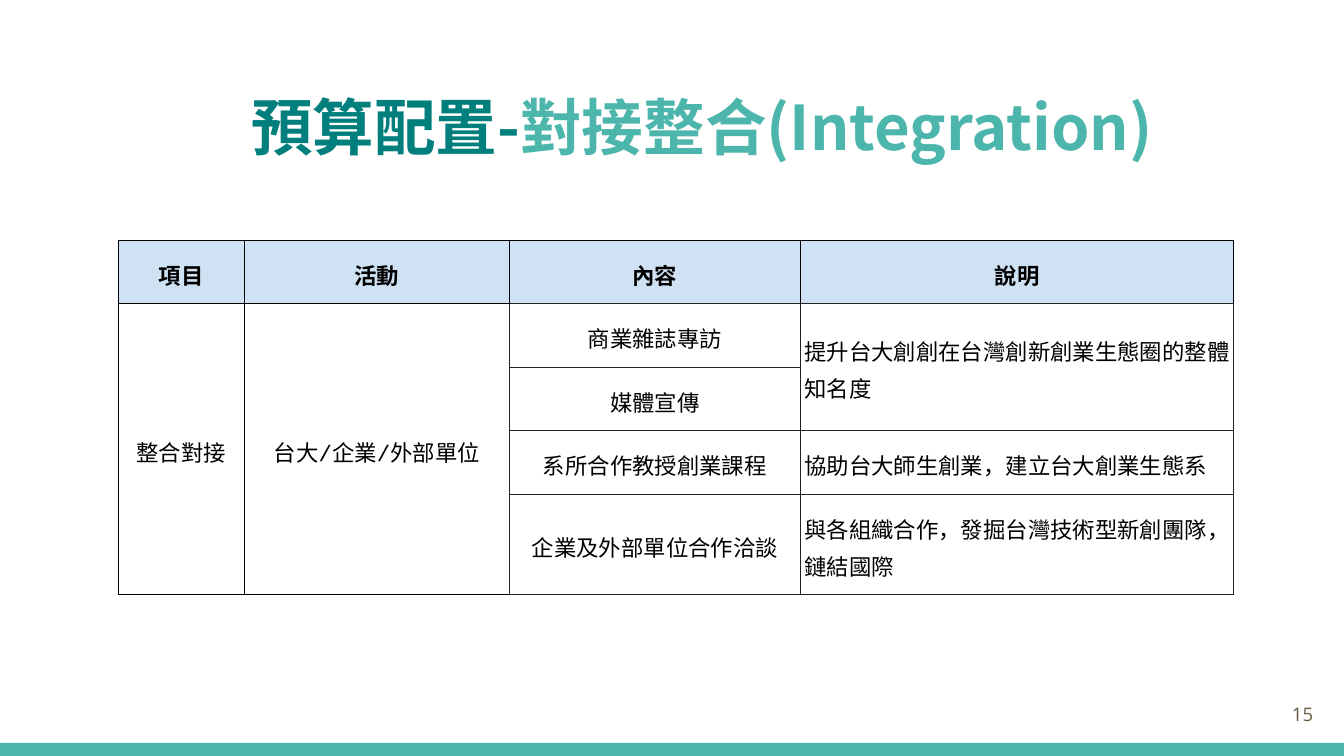
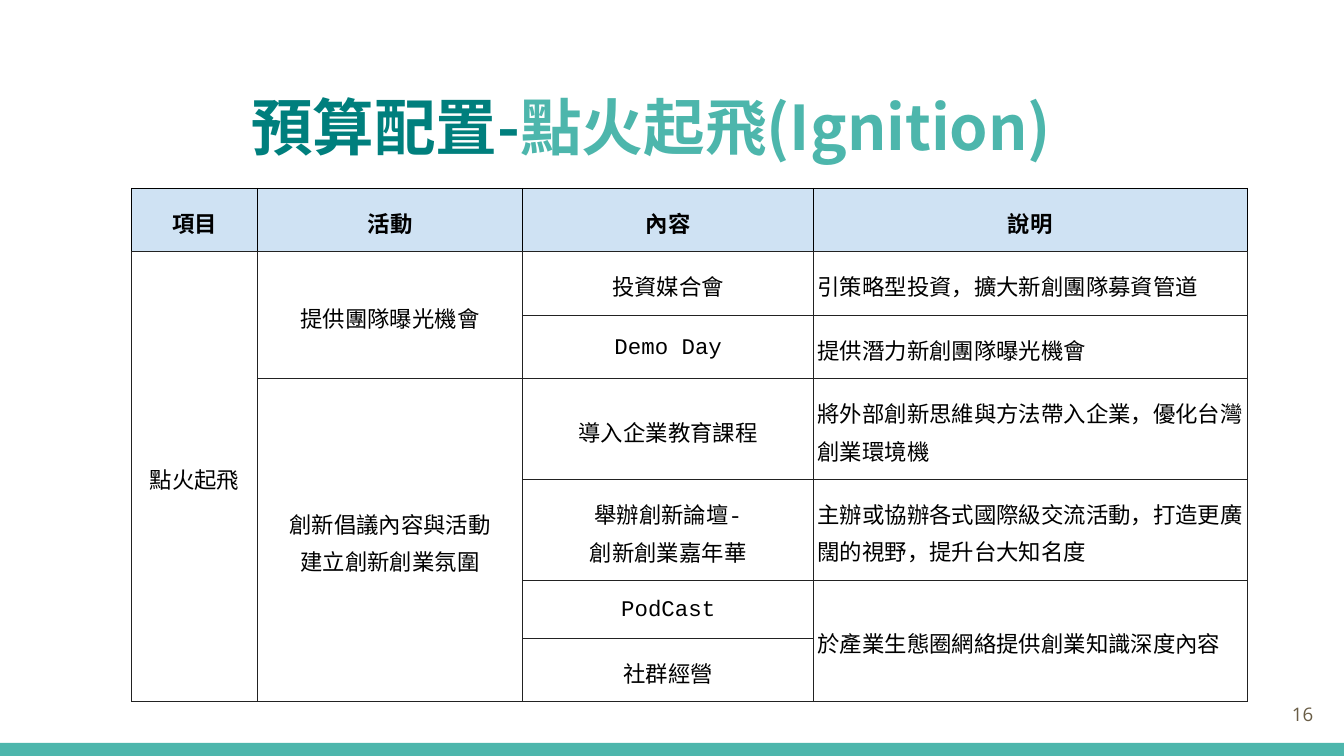
from lxml.etree import SubElement
from pptx import Presentation
from pptx.dml.color import RGBColor
from pptx.enum.shapes import MSO_SHAPE
from pptx.enum.text import MSO_ANCHOR, PP_ALIGN
from pptx.oxml.ns import qn
from pptx.util import Pt

DARK_TEAL, TEAL = "007F7D", "4DB6AC"
HEADER_BLUE, BLACK, CHARCOAL, BROWN = "CFE2F3", "000000", "222222", "695D46"
TITLE_FONT, CELL_FONT, NUMBER_FONT = "Noto Sans CJK SC", "Courier New", "Open Sans"
COLUMN_WIDTHS = (67.5, 142, 156, 232)
HEADINGS = ("項目", "活動", "內容", "說明")
ONE_LINE, TWO_LINES, LOW = 34, 54, 30


def color(value):
    return RGBColor.from_string(value)


class BudgetDeck:
    """Holds the shared style and the slide being built."""

    def __init__(self):
        self.presentation = Presentation()
        self.presentation.slide_width = Pt(720)
        self.presentation.slide_height = Pt(405)
        self.slide = None

    def add_slide(self, topic, number):
        self.slide = self.presentation.slides.add_slide(self.presentation.slide_layouts[6])
        self.add_band()
        self.add_text(127.4, 39.6, 567.4, 55.4, 33, TITLE_FONT,
                      [("預算配置-", DARK_TEAL), (topic, TEAL)], bold=True)
        self.add_text(667.4, 367.2, 43.2, 31, 10, NUMBER_FONT,
                      [(str(number), BROWN)], PP_ALIGN.RIGHT)

    def add_band(self):
        band = self.slide.shapes.add_shape(
            MSO_SHAPE.RECTANGLE, Pt(-2), Pt(398), Pt(724), Pt(8))
        band.shadow.inherit = False
        band.fill.solid()
        band.fill.fore_color.rgb = color(TEAL)
        band.line.fill.background()

    def style_font(self, font, name, size, font_color, bold=False):
        font.name, font.size, font.bold = name, Pt(size), bold
        font.color.rgb = color(font_color)

    def add_text(self, left, top, width, height, size, font_name, parts,
                 alignment=PP_ALIGN.LEFT, bold=False):
        box = self.slide.shapes.add_textbox(Pt(left), Pt(top), Pt(width), Pt(height))
        frame = box.text_frame
        frame.word_wrap = True
        frame.vertical_anchor = MSO_ANCHOR.MIDDLE
        frame.margin_left = frame.margin_right = Pt(7.2)
        frame.margin_top = frame.margin_bottom = Pt(7.2)
        paragraph = frame.paragraphs[0]
        paragraph.alignment = alignment
        for text, text_color in parts:
            run = paragraph.add_run()
            run.text = text
            self.style_font(run.font, font_name, size, text_color, bold)

    def add_table(self, left, top, heights, body, black_columns=0, fonts=None):
        """Each None in the body continues the cell above it."""
        rows = [HEADINGS, *body]
        table = self.slide.shapes.add_table(
            len(rows), len(COLUMN_WIDTHS), Pt(left), Pt(top),
            Pt(sum(COLUMN_WIDTHS)), Pt(sum(heights))).table
        table.first_row = table.horz_banding = False
        for column, width in zip(table.columns, COLUMN_WIDTHS):
            column.width = Pt(width)
        for row, height in zip(table.rows, heights):
            row.height = Pt(height)

        for row_index, texts in enumerate(rows):
            for column_index, text in enumerate(texts):
                cell = table.cell(row_index, column_index)
                is_header = row_index == 0
                is_black = is_header or column_index < black_columns
                self.style_cell(cell, is_header, BLACK if is_black else CHARCOAL)
                if text is None:
                    continue
                centred = is_header or column_index < len(COLUMN_WIDTHS) - 1
                font_name = (fonts or {}).get(text, CELL_FONT)
                self.fill_cell(cell, text, font_name, centred, is_header)
                last = row_index
                while last + 1 < len(rows) and rows[last + 1][column_index] is None:
                    last += 1
                if last > row_index:
                    cell.merge(table.cell(last, column_index))

    def fill_cell(self, cell, text, font_name, centred, bold):
        cell.text_frame.text = text
        for paragraph in cell.text_frame.paragraphs:
            paragraph.alignment = PP_ALIGN.CENTER if centred else PP_ALIGN.LEFT
            paragraph.line_spacing = 1.15
            for run in paragraph.runs:
                self.style_font(run.font, font_name, 12, BLACK, bold)

    def style_cell(self, cell, is_header, border_color):
        cell.vertical_anchor = MSO_ANCHOR.MIDDLE
        cell.margin_left = cell.margin_right = Pt(2)
        cell.margin_top = cell.margin_bottom = Pt(7.2)
        # Borders come before the fill in the cell properties
        properties = cell._tc.get_or_add_tcPr()
        for side in ("a:lnL", "a:lnR", "a:lnT", "a:lnB"):
            line = SubElement(properties, qn(side), w=str(Pt(0.42)))
            fill = SubElement(line, qn("a:solidFill"))
            SubElement(fill, qn("a:srgbClr"), val=border_color)
        if is_header:
            cell.fill.solid()
            cell.fill.fore_color.rgb = color(HEADER_BLUE)
        else:
            cell.fill.background()


def main():
    deck = BudgetDeck()

    # Integration
    deck.add_slide("對接整合(Integration)", 15)
    deck.add_table(63.4, 128.7, [ONE_LINE] * 4 + [TWO_LINES], [
        ("整合對接", "台大/企業/外部單位", "商業雜誌專訪",
         "提升台大創創在台灣創新創業生態圈的整體知名度"),
        (None, None, "媒體宣傳", None),
        (None, None, "系所合作教授創業課程", "協助台大師生創業，建立台大創業生態系"),
        (None, None, "企業及外部單位合作洽談",
         "與各組織合作，發掘台灣技術型新創團隊，鏈結國際"),
    ], black_columns=2)

    # Ignition
    initiative = "創新倡議內容與活動\n建立創新創業氛圍"
    deck.add_slide("點火起飛(Ignition)", 16)
    deck.add_table(70.5, 100.8, [ONE_LINE] * 3 + [TWO_LINES] * 2 + [LOW, ONE_LINE], [
        ("點火起飛", "提供團隊曝光機會", "投資媒合會",
         "引策略型投資，擴大新創團隊募資管道"),
        (None, None, "Demo Day", "提供潛力新創團隊曝光機會"),
        (None, initiative, "導入企業教育課程",
         "將外部創新思維與方法帶入企業，優化台灣創業環境機"),
        (None, None, "舉辦創新論壇-\n創新創業嘉年華",
         "主辦或協辦各式國際級交流活動，打造更廣闊的視野，提升台大知名度"),
        (None, None, "PodCast", "於產業生態圈網絡提供創業知識深度內容"),
        (None, None, "社群經營", None),
    ], fonts={initiative: "Arial"})

    deck.presentation.save("out.pptx")


if __name__ == "__main__":
    main()
